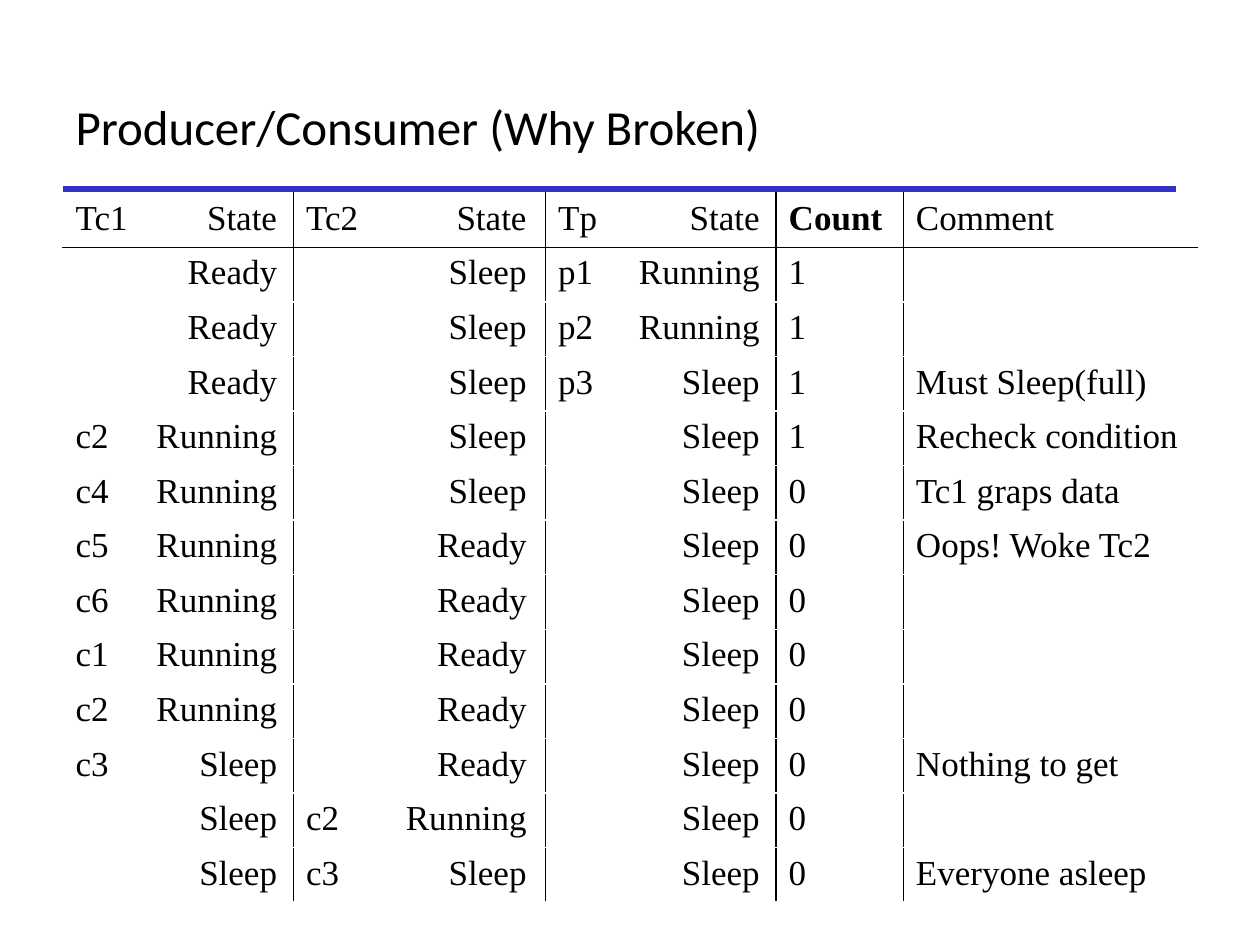
from lxml import etree
from pptx import Presentation
from pptx.dml.color import RGBColor
from pptx.enum.shapes import MSO_CONNECTOR
from pptx.enum.text import MSO_ANCHOR, PP_ALIGN
from pptx.oxml.ns import qn
from pptx.util import Inches, Pt

STRAIGHT = MSO_CONNECTOR.STRAIGHT
MIDDLE = MSO_ANCHOR.MIDDLE
LEFT = PP_ALIGN.LEFT

BLACK = RGBColor(0x00, 0x00, 0x00)
WHITE = RGBColor(0xFF, 0xFF, 0xFF)
RULE_BLUE = RGBColor(0x33, 0x33, 0xCC)

TITLE_FONT = "Calibri"
BODY_FONT = "Times New Roman"

COLUMN_WIDTHS = (1.83, 2, 1.83, 1.01, 2.33)
STATE_TABS = (1.6, 1.75, 1.6, None, None)  # right edge of each state entry

# Each thread column holds (step, state)
HEADER = (("Tc1", "State"), ("Tc2", "State"), ("Tp", "State"), "Count", "Comment")
STEPS = (
    (("", "Ready"), ("", "Sleep"), ("p1", "Running"), "1", ""),
    (("", "Ready"), ("", "Sleep"), ("p2", "Running"), "1", ""),
    (("", "Ready"), ("", "Sleep"), ("p3", "Sleep"), "1", "Must Sleep(full)"),
    (("c2", "Running"), ("", "Sleep"), ("", "Sleep"), "1", "Recheck condition"),
    (("c4", "Running"), ("", "Sleep"), ("", "Sleep"), "0", "Tc1 graps data"),
    (("c5", "Running"), ("", "Ready"), ("", "Sleep"), "0", "Oops! Woke Tc2"),
    (("c6", "Running"), ("", "Ready"), ("", "Sleep"), "0", ""),
    (("c1", "Running"), ("", "Ready"), ("", "Sleep"), "0", ""),
    (("c2", "Running"), ("", "Ready"), ("", "Sleep"), "0", ""),
    (("c3", "Sleep"), ("", "Ready"), ("", "Sleep"), "0", "Nothing to get"),
    (("", "Sleep"), ("c2", "Running"), ("", "Sleep"), "0", ""),
    (("", "Sleep"), ("c3", "Sleep"), ("", "Sleep"), "0", "Everyone asleep"),
)


def write_text(frame, text, font=BODY_FONT, size=20, bold=False, tab=None):
    paragraph = frame.paragraphs[0]
    paragraph.alignment = LEFT
    if tab:
        tabs = etree.SubElement(paragraph._p.get_or_add_pPr(), qn("a:tabLst"))
        etree.SubElement(tabs, qn("a:tab"), pos=str(Inches(tab)), algn="r")
    run = paragraph.add_run()
    run.text = text
    run.font.name = font
    run.font.size = Pt(size)
    run.font.bold = bold
    run.font.color.rgb = BLACK


def set_borders(cell, **colors):
    properties = cell._tc.get_or_add_tcPr()
    for side in "LRTB":
        border = etree.SubElement(properties, qn(f"a:ln{side}"), w=str(Pt(1)))
        fill = etree.SubElement(border, qn("a:solidFill"))
        etree.SubElement(fill, qn("a:srgbClr"), val=str(colors[side]))


def add_title(slide, left, top, width, height):
    title = slide.shapes.title
    title.left, title.top, title.width, title.height = left, top, width, height
    title.text_frame.vertical_anchor = MIDDLE
    write_text(title.text_frame, "Producer/Consumer (Why Broken)",
               font=TITLE_FONT, size=28)

    # Rule along the bottom of the title box
    bottom = top + height
    rule = slide.shapes.add_connector(STRAIGHT, left, bottom, left + width, bottom)
    rule.line.color.rgb = RULE_BLUE
    rule.line.width = Pt(3)
    etree.SubElement(rule._element.spPr, qn("a:effectLst"))


def add_trace_table(slide, left, top, width, height):
    rows = (HEADER, *STEPS)
    last_column = len(HEADER) - 1
    table = slide.shapes.add_table(
        len(rows), len(HEADER), left, top, width, height).table
    table.first_row = False
    table.horz_banding = False
    for column, column_width in zip(table.columns, COLUMN_WIDTHS):
        column.width = Inches(column_width)

    for r, entries in enumerate(rows):
        for c, entry in enumerate(entries):
            cell = table.cell(r, c)
            # Black between columns and under the header, white elsewhere
            set_borders(cell,
                        L=BLACK if c > 0 else WHITE,
                        R=BLACK if c < last_column else WHITE,
                        T=BLACK if r == 1 else WHITE,
                        B=BLACK if r == 0 else WHITE)
            cell.fill.background()
            text = "\t".join(entry) if isinstance(entry, tuple) else entry
            if text:
                write_text(cell.text_frame, text, tab=STATE_TABS[c],
                           bold=text == "Count")


def main():
    prs = Presentation()
    prs.slide_width, prs.slide_height = Inches(10), Inches(7.5)
    title_only = prs.slide_layouts[5]
    slide = prs.slides.add_slide(title_only)
    add_title(slide, Inches(0.5), Inches(0.5), Inches(8.83), Inches(1))
    add_trace_table(slide, Inches(0.5), Inches(1.53), Inches(9), Inches(5.63))
    prs.save("out.pptx")


if __name__ == "__main__":
    main()
